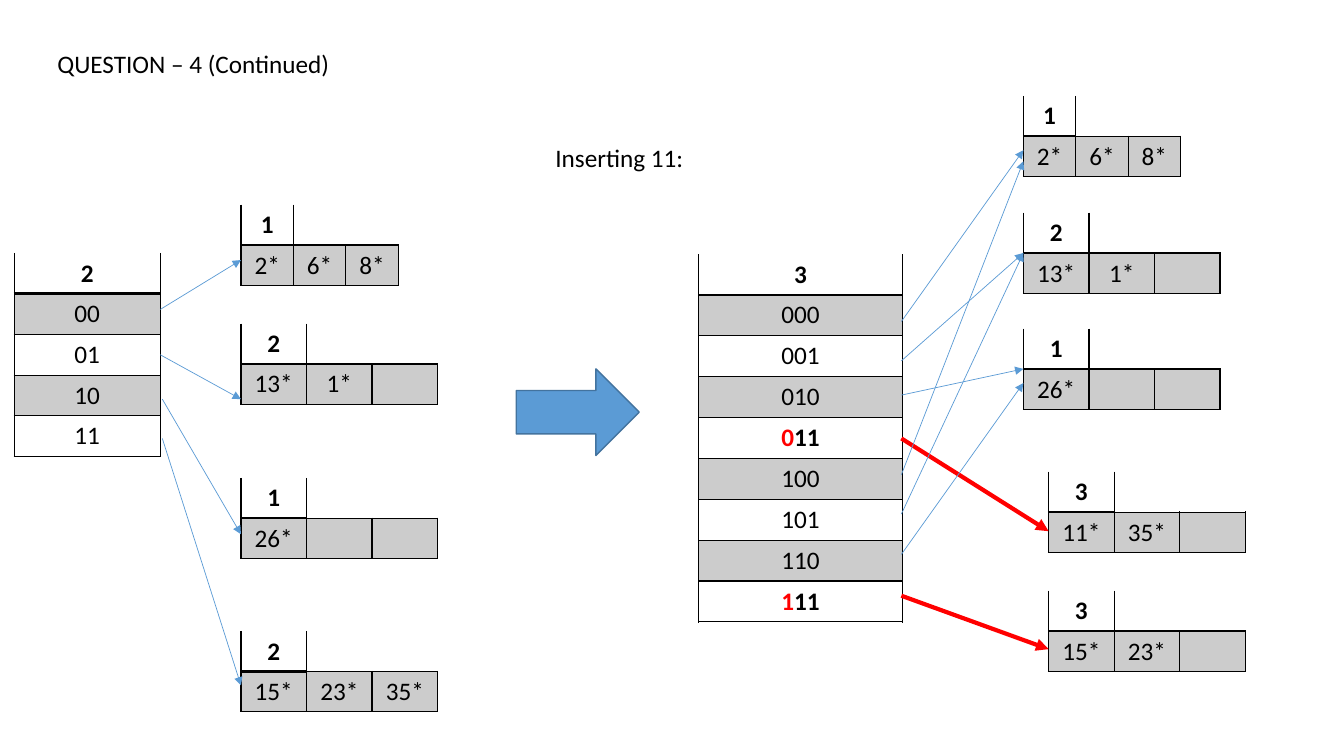
"""Build the extendible hashing slide for inserting 11."""
from dataclasses import dataclass

from lxml.etree import SubElement
from pptx import Presentation
from pptx.dml.color import RGBColor
from pptx.enum.shapes import MSO_CONNECTOR, MSO_SHAPE
from pptx.enum.text import MSO_AUTO_SIZE, PP_ALIGN
from pptx.oxml import parse_xml
from pptx.oxml.ns import nsdecls, qn
from pptx.util import Inches, Pt


@dataclass(frozen=True)
class Theme:
    """Colours, font and sizes of the slide."""
    ink: str = "000000"
    accent: str = "5B9BD5"
    outline: str = "43739E"
    highlight: str = "FF0000"
    font: str = "Calibri"
    size: int = 18
    shade: int = 20000
    plain_table: str = "{2D5ABB26-0587-4C30-8999-92F81FD0307C}"


THEME = Theme()

BUCKETS = [
    (2.39, 2.03, 0.52, "1", ("2*", "6*", "8*")),
    (2.39, 3.21, 0.65, "2", ("13*", "1*", "")),
    (2.39, 4.74, 0.65, "1", ("26*", "", "")),
    (2.39, 6.26, 0.65, "2", ("15*", "23*", "35*")),
    (10.15, 0.95, 0.52, "1", ("2*", "6*", "8*")),
    (10.15, 2.11, 0.65, "2", ("13*", "1*", "")),
    (10.15, 3.26, 0.65, "1", ("26*", "", "")),
    (10.4, 4.68, 0.65, "3", ("11*", "35*", "")),
    (10.4, 5.86, 0.65, "3", ("15*", "23*", "")),
]
DIRECTORIES = [
    (0.14, 2.51, 1.45, 2.02, ["2", "00", "01", "10", "11"]),
    (6.93, 2.52, 2.02, 3.65,
     ["3", "000", "001", "010", ("0", "11"), "100", "101", "110", ("1", "11")]),
]
POINTERS = [
    (1.59, 3.07, 2.39, 2.58), (1.59, 3.52, 2.39, 3.96),
    (1.61, 3.96, 2.39, 5.3), (1.61, 4.35, 2.39, 6.8),
    (8.94, 3.19, 10.15, 1.49), (8.94, 4.71, 10.15, 1.6),
    (8.94, 3.58, 10.15, 2.51), (8.94, 5.1, 10.15, 2.51),
    (8.94, 3.92, 10.15, 3.66), (8.94, 5.5, 10.15, 3.8),
]
SPLIT_POINTERS = [(8.94, 4.35, 10.4, 5.27), (8.94, 5.91, 10.4, 6.44)]


def add_span(para, text, bold=False, color=THEME.ink):
    """Append one formatted run to a paragraph."""
    span = para.add_run()
    span.text = text
    values = {"name": THEME.font, "size": Pt(THEME.size), "bold": bold}
    for name, value in values.items():
        setattr(span.font, name, value)
    span.font.color.rgb = RGBColor.from_string(color)


def add_label(page, left, top, width, text, wrap):
    """Add a single line of text."""
    box = page.shapes.add_textbox(*map(Inches, (left, top, width, 0.4)))
    values = {"word_wrap": wrap, "auto_size": MSO_AUTO_SIZE.SHAPE_TO_FIT_TEXT}
    for name, value in values.items():
        setattr(box.text_frame, name, value)
    add_span(box.text_frame.paragraphs[0], text)


def set_borders(cell, widths):
    """Draw the left, right, top and bottom borders, zero meaning none."""
    properties = cell._tc.get_or_add_tcPr()
    for index, (side, width) in enumerate(zip("LRTB", widths)):
        paint = (f'<a:solidFill><a:srgbClr val="{THEME.ink}"/></a:solidFill>'
                 if width else "<a:noFill/>")
        properties.insert(index, parse_xml(
            f'<a:ln{side} {nsdecls("a")} w="{Pt(width)}">{paint}</a:ln{side}>'))


def fill_cell(cell, content, bold, shaded, widths):
    """Write a cell; a pair of texts means a highlighted prefix and the rest."""
    para = cell.text_frame.paragraphs[0]
    para.alignment = PP_ALIGN.CENTER
    if isinstance(content, tuple):
        prefix, rest = content
        add_span(para, prefix, True, THEME.highlight)
        add_span(para, rest, True)
    elif content:
        add_span(para, content, bold)
    if shaded:
        cell.fill.solid()
        cell.fill.fore_color.rgb = RGBColor.from_string(THEME.ink)
        color = next(cell._tc.tcPr.iter(qn("a:srgbClr")))
        SubElement(color, qn("a:alpha")).set("val", str(THEME.shade))
    else:
        cell.fill.background()
    set_borders(cell, widths)


def add_grid(page, left, top, width, height, rows):
    """Add a table whose first row is an open-topped depth header."""
    frame = page.shapes.add_table(
        len(rows), len(rows[0]), *map(Inches, (left, top, width, height)))
    table = frame.table
    table.first_row = table.horz_banding = False
    table._tbl.tblPr.find(qn("a:tableStyleId")).text = THEME.plain_table
    for row in table.rows:
        row.height = Inches(height / len(rows))
    for r, contents in enumerate(rows):
        for c, content in enumerate(contents):
            edge = 1 if c else 2
            if r == 0:
                widths = (int(c < 2), int(c == 0), 0, edge)
            else:
                widths = (1, 1, edge if r == 1 else 1, 1)
            fill_cell(table.cell(r, c), content, r == 0, r % 2 == 1, widths)


def add_bucket(page, left, top, column, depth, entries):
    """Add a bucket with its local depth above its entries."""
    add_grid(page, left, top, column * len(entries), 0.8,
             [(depth, "", ""), entries])


def add_directory(page, left, top, width, height, labels):
    """Add a directory with its global depth above its hash prefixes."""
    add_grid(page, left, top, width, height, [[label] for label in labels])


def add_pointer(page, ends, color, weight):
    """Add an arrow from a directory entry to a bucket."""
    pointer = page.shapes.add_connector(
        MSO_CONNECTOR.STRAIGHT, *map(Inches, ends))
    pointer.line.color.rgb = RGBColor.from_string(color)
    pointer.line.width = Pt(weight)
    SubElement(pointer.line._get_or_add_ln(), qn("a:tailEnd")).set("type", "triangle")
    SubElement(pointer._element.spPr, qn("a:effectLst"))


def add_step_arrow(page):
    """Add the block arrow between the two states."""
    arrow = page.shapes.add_shape(
        MSO_SHAPE.RIGHT_ARROW, *map(Inches, (5.12, 3.66, 1.22, 0.86)))
    arrow.shadow.inherit = False
    arrow.fill.solid()
    arrow.fill.fore_color.rgb = RGBColor.from_string(THEME.accent)
    arrow.line.color.rgb = RGBColor.from_string(THEME.outline)
    arrow.line.width = Pt(1)


def main():
    """Build and save the deck."""
    deck = Presentation()
    deck.slide_width, deck.slide_height = Inches(13.33), Inches(7.5)
    page = deck.slides.add_slide(deck.slide_layouts[6])
    add_label(page, 0.47, 0.43, 12.41, "QUESTION – 4 (Continued)", True)
    add_label(page, 5.41, 1.36, 1.49, "Inserting 11:", False)
    for directory in DIRECTORIES:
        add_directory(page, *directory)
    for bucket in BUCKETS:
        add_bucket(page, *bucket)
    for ends in SPLIT_POINTERS:
        add_pointer(page, ends, THEME.highlight, 3)
    for ends in POINTERS:
        add_pointer(page, ends, THEME.accent, 0.5)
    add_step_arrow(page)
    deck.save("out.pptx")


main()
